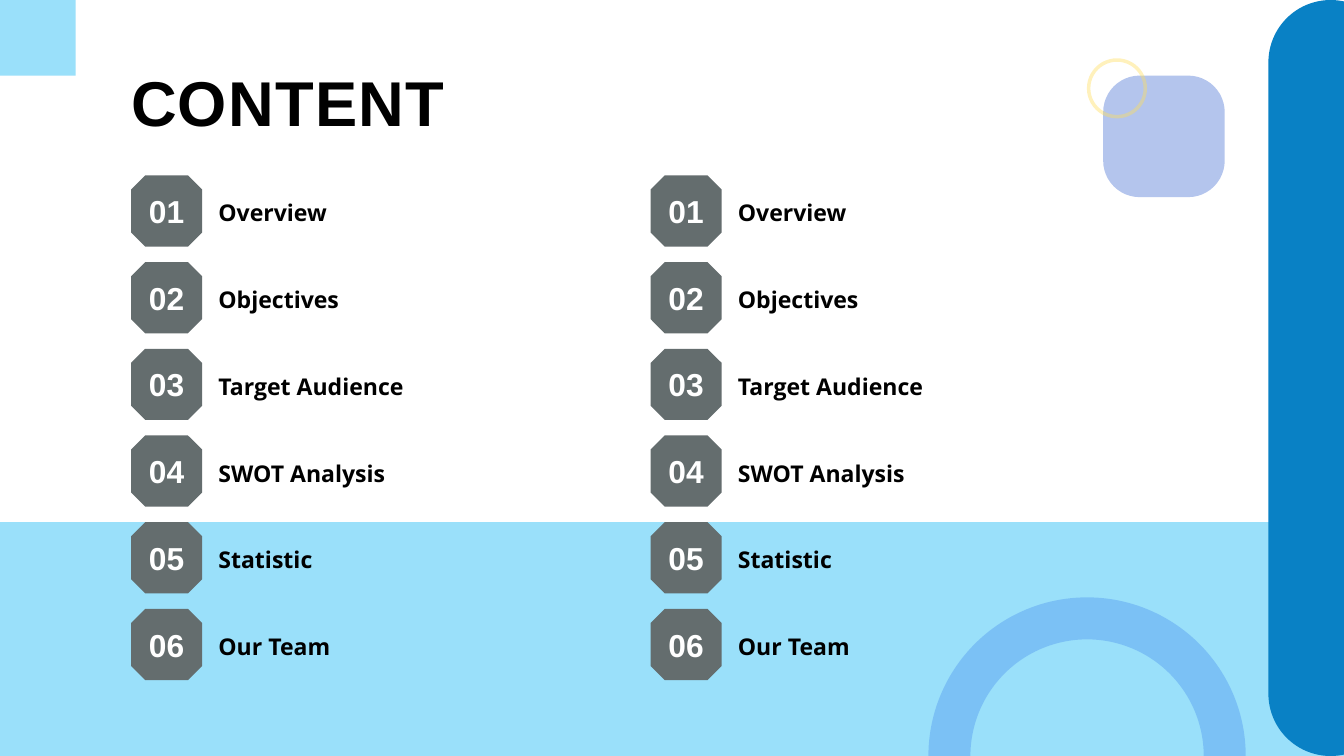
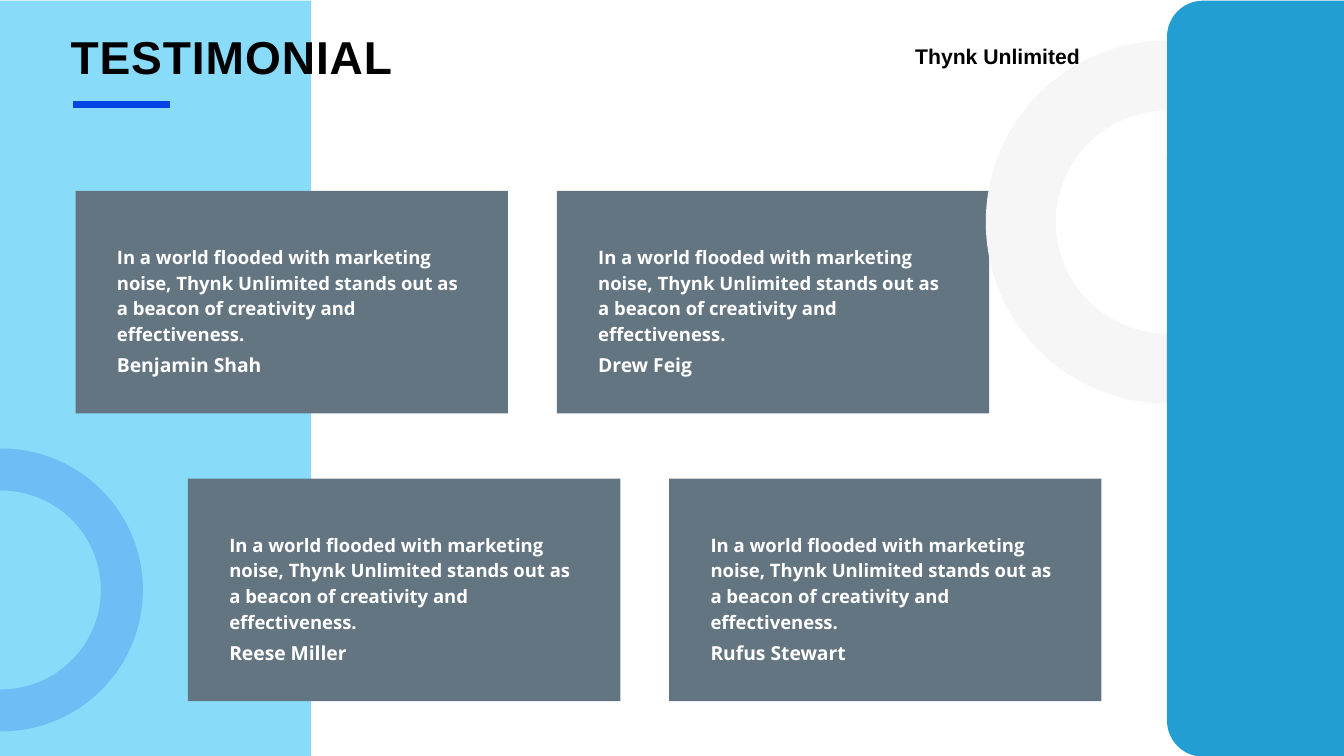
from lxml.etree import SubElement
from pptx import Presentation
from pptx.dml.color import RGBColor
from pptx.enum.shapes import MSO_CONNECTOR, MSO_SHAPE
from pptx.enum.text import MSO_ANCHOR, MSO_AUTO_SIZE, PP_ALIGN
from pptx.oxml.ns import qn
from pptx.util import Pt

BLUE, YELLOW = "0345E4", "FFDE59"
SKY, SLATE = "9AE0FA", "646D6E"
CARD, PALE_SKY = "647582", "89DBFA"
RECT, ROUND = MSO_SHAPE.RECTANGLE, MSO_SHAPE.ROUNDED_RECTANGLE
OVAL, OCTAGON = MSO_SHAPE.OVAL, MSO_SHAPE.OCTAGON

# font, size, colour, line spacing, letter spacing
STYLES = {
    "content title": ("Arial", 67.8, "000000", 94.9, 1.4),
    "testimonial title": ("Arial", 49.4, "000000", 69.1, 1),
    "number": ("Arial", 34, "FFFFFF", 47.6, 0),
    "topic": ("Open Sans", 24.7, "000000", 34.6, 0),
    "company": ("Arial", 22.7, "000000", 31.8, 0),
    "name": ("Open Sans", 20.7, "FFFFFF", 29, 0),
    "quote": ("Open Sans", 19.8, "FFFFFF", 27.6, 0),
}


def add_shape(s, kind, box, fill=None, line=None, width=0, alpha=100, adj=None):
    sp = s.shapes.add_shape(kind, *map(Pt, box))
    sp.shadow.inherit = False
    if adj is not None:
        sp.adjustments[0] = adj
    if fill:
        sp.fill.solid()
        sp.fill.fore_color.rgb = RGBColor.from_string(fill)
    else:
        sp.fill.background()
    if line:
        sp.line.color.rgb = RGBColor.from_string(line)
        sp.line.width = Pt(width)
    else:
        sp.line.fill.background()
    if alpha < 100:
        for clr in sp._element.spPr.iter(qn("a:srgbClr")):
            SubElement(clr, qn("a:alpha"), val=str(alpha * 1000))
    return sp


def add_text(s, box, text, style, sp=None):
    """Write one styled paragraph into sp, or into a new text box at box."""
    name, size, colour, leading, tracking = STYLES[style]
    tf = (sp or s.shapes.add_textbox(*map(Pt, box))).text_frame
    tf.word_wrap = True
    if sp is None:
        tf.auto_size = MSO_AUTO_SIZE.SHAPE_TO_FIT_TEXT
        for side in ("left", "top", "right", "bottom"):
            setattr(tf, f"margin_{side}", 0)
    p = tf.paragraphs[0]
    p.line_spacing = Pt(leading)
    r = p.add_run()
    r.text = text
    for key, value in {"name": name, "size": Pt(size), "bold": True}.items():
        setattr(r.font, key, value)
    r.font.color.rgb = RGBColor.from_string(colour)
    if tracking:
        r.font._element.set("spc", str(round(tracking * 100)))
    return tf


prs = Presentation()
prs.slide_width, prs.slide_height = Pt(1440), Pt(810)
blank = prs.slide_layouts[6]

# Slide 1: content
s = prs.slides.add_slide(blank)
add_shape(s, RECT, (508.3, 559.4, 931.7, 250.6), SKY)
add_shape(s, ROUND, (1359, 0, 133.4, 810), "0981C5", adj=0.5)
add_shape(s, RECT, (0, 559.4, 527.8, 250.6), SKY)
add_shape(s, RECT, (0, 0, 81, 81), SKY)
add_text(s, (140.4, 54.7, 590.4, 90.7), "CONTENT", "content title")

topics = ["Overview", "Objectives", "Target Audience", "SWOT Analysis", "Statistic", "Our Team"]
for i, topic in enumerate(topics):
    y = 187.9 + 92.9 * i
    for x in (140.4, 697):
        badge = add_shape(s, OCTAGON, (x, y, 76.3, 76.3), SLATE, adj=0.2)
        tf = add_text(s, None, f"{i + 1:02}", "number", badge)
        margins = {"left": 3.6, "right": 3.6, "top": 3, "bottom": 10}
        for side, margin in margins.items():
            setattr(tf, f"margin_{side}", Pt(margin))
        tf.vertical_anchor = MSO_ANCHOR.MIDDLE
        tf.paragraphs[0].alignment = PP_ALIGN.CENTER
        add_text(s, (x + 93.6, y + 20.2, 406, 32.4), topic, "topic")

add_shape(s, ROUND, (1182, 81, 130.2, 130.2), "093FC5", alpha=30, adj=0.3)
add_shape(s, OVAL, (1166.4, 64.3, 60.7, 60.7), line=YELLOW, width=3.75, alpha=40)
add_shape(s, OVAL, (1017.2, 662.5, 295, 295), line=BLUE, width=45, alpha=20)

# Slide 2: testimonials
s = prs.slides.add_slide(blank)
add_shape(s, RECT, (0, 0.7, 333.2, 810), PALE_SKY)

quote = ("In a world flooded with marketing noise, Thynk Unlimited stands out as "
         "a beacon of creativity and effectiveness.")
people = ["Benjamin Shah", "Drew Feig", "Reese Miller", "Rufus Stewart"]
for i, person in enumerate(people):
    row, col = divmod(i, 2)
    x = 81 + 515.6 * col + 120.4 * row
    y = 204.5 + 308.4 * row
    add_shape(s, RECT, (x, y, 463.2, 238.3), CARD)
    add_text(s, (x + 44.3, y + 169.4, 180, 27.4), person, "name")
    add_text(s, (x + 44.3, y + 55, 374.4, 110.4), quote, "quote")

add_shape(s, OVAL, (1093.7, 80.9, 314, 314), line="F6F6F6", width=75)
add_shape(s, ROUND, (1250.4, 0.7, 241.4, 810), "239ED3", adj=0.16)

rule = s.shapes.add_connector(MSO_CONNECTOR.STRAIGHT, Pt(78.5), Pt(112.3), Pt(182.2), Pt(112.3))
rule.line.color.rgb = RGBColor.from_string(BLUE)
rule.line.width = Pt(7.5)
SubElement(rule._element.spPr, qn("a:effectLst"))

add_text(s, (75.6, 20.9, 685.4, 67.7), "TESTIMONIAL", "testimonial title")
add_text(s, (980.6, 41.8, 216, 30.2), "Thynk Unlimited", "company")
add_shape(s, OVAL, (-127.4, 503.1, 258, 258), line=BLUE, width=45, alpha=20)

prs.save("out.pptx")
